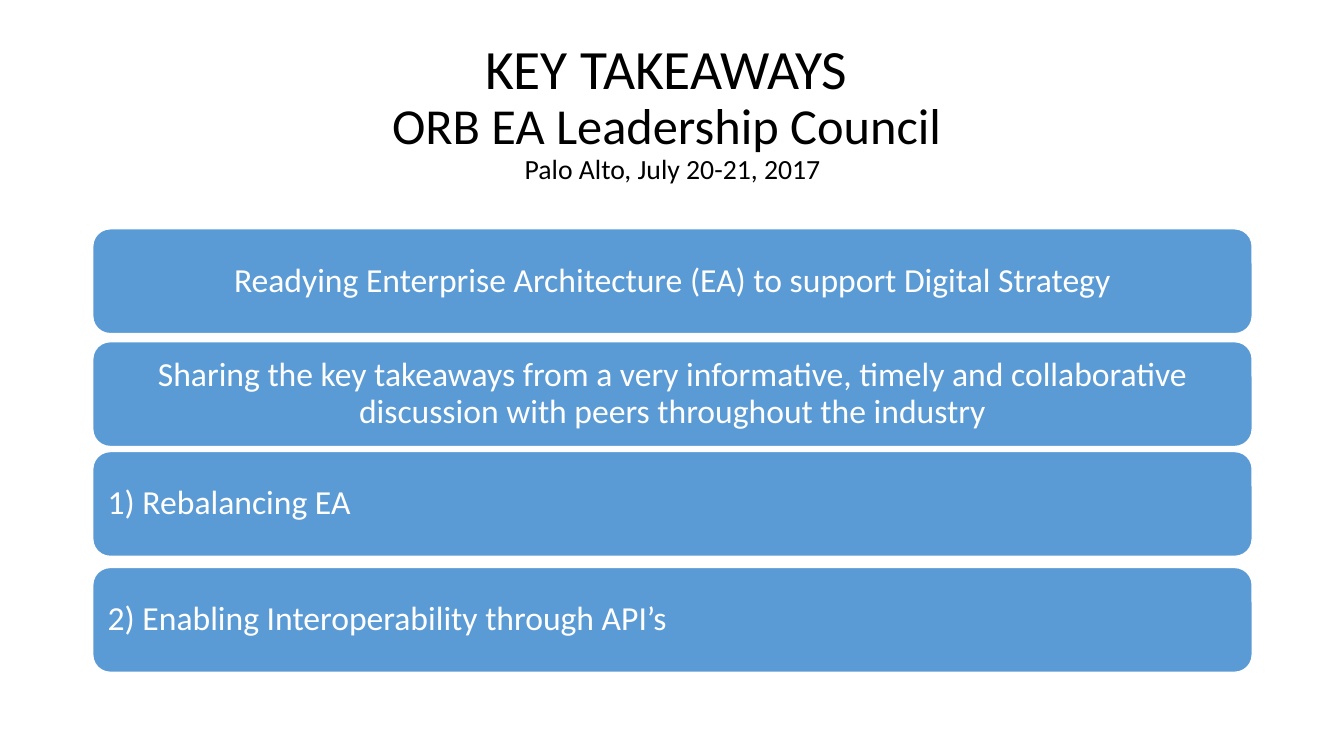
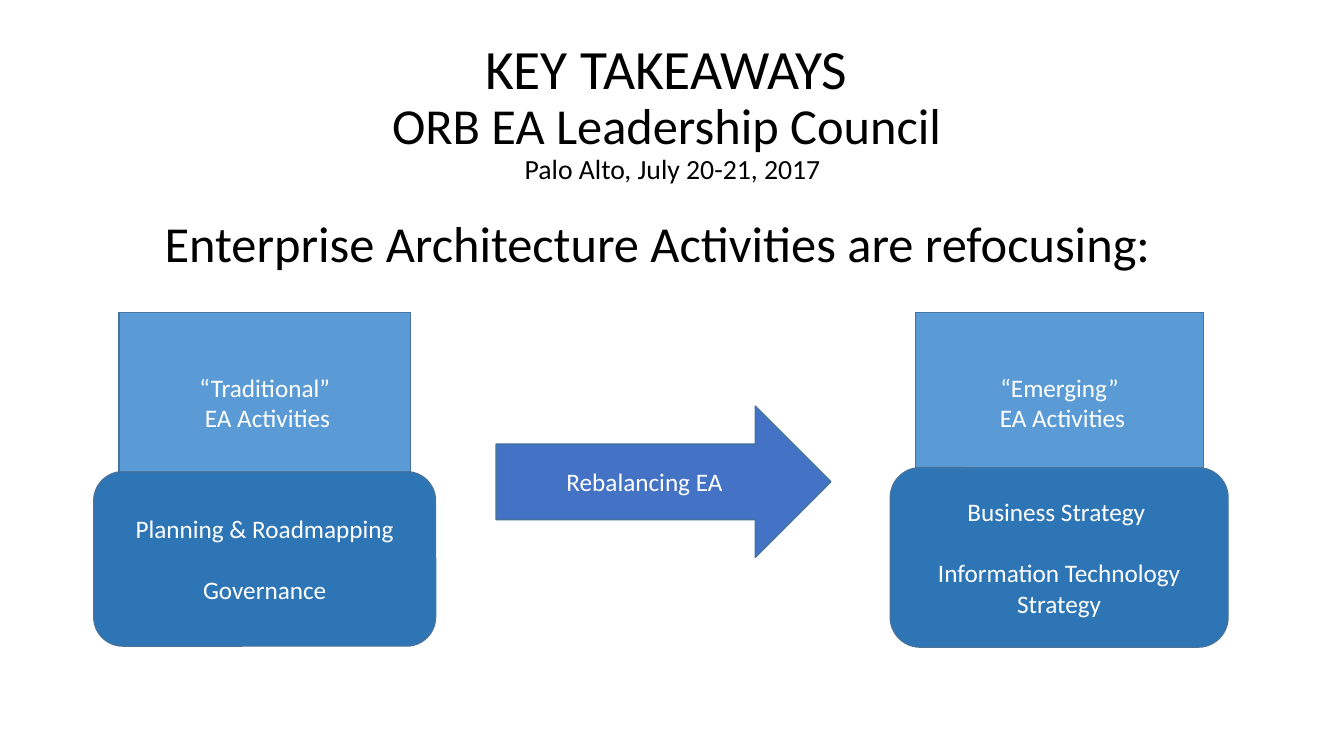
from pptx import Presentation
from pptx.dml.color import RGBColor
from pptx.enum.shapes import MSO_SHAPE
from pptx.enum.text import MSO_ANCHOR, PP_ALIGN
from pptx.util import Inches, Pt

FONT = "Calibri"
COLORS = {"ink": "000000", "white": "FFFFFF", "sky": "5B9BD5",
          "deep": "2E75B6", "royal": "4472C4", "edge": "43739E"}
TITLE = ["KEY TAKEAWAYS ", "ORB EA Leadership Council ", "Palo Alto, July 20-21, 2017"]


def write(shape, lines, sizes=(18,), color="white", align=PP_ALIGN.CENTER,
          anchor=MSO_ANCHOR.MIDDLE, inset=0.1, spacing=1.0, gap=0):
    """Fill a shape with lines; sizes repeat, gap goes above the second line."""
    frame = shape.text_frame
    frame.word_wrap = True
    frame.vertical_anchor = anchor
    frame.margin_left = frame.margin_right = Inches(inset)
    for i, line in enumerate(lines):
        para = frame.paragraphs[0] if i == 0 else frame.add_paragraph()
        para.alignment = align
        para.line_spacing = spacing
        para.space_before = Pt(gap if i == 1 else 0)
        run = para.add_run()
        run.text = line
        run.font.name = FONT
        run.font.size = Pt(sizes[i % len(sizes)])
        run.font.color.rgb = RGBColor.from_string(COLORS[color])


def block(slide, kind, box, fill, edge="edge"):
    """Add a filled, outlined shape without shadow."""
    shape = slide.shapes.add_shape(kind, *map(Inches, box))
    shape.shadow.inherit = False
    shape.fill.solid()
    shape.fill.fore_color.rgb = RGBColor.from_string(COLORS[fill])
    shape.line.color.rgb = RGBColor.from_string(COLORS[edge])
    shape.line.width = Pt(1)
    return shape


deck = Presentation()
deck.slide_width, deck.slide_height = Inches(13.33), Inches(7.5)

# Both slides carry the same title
slides = [deck.slides.add_slide(deck.slide_layouts[6]) for _ in range(2)]
for slide in slides:
    title = slide.shapes.add_textbox(Inches(0.92), Inches(0.4), Inches(11.5), Inches(1.45))
    write(title, TITLE, sizes=(39.6, 36, 19.8), color="ink", spacing=0.9)
agenda, shift = slides

# Slide 1: agenda bars
bars = [
    (2.27, PP_ALIGN.CENTER, "Readying Enterprise Architecture (EA) to support Digital Strategy"),
    (3.39, PP_ALIGN.CENTER, "Sharing the key takeaways from a very informative, timely and "
                            "collaborative discussion with peers throughout the industry"),
    (4.48, PP_ALIGN.LEFT, "1) Rebalancing EA"),
    (5.63, PP_ALIGN.LEFT, "2) Enabling Interoperability through API’s"),
]
for top, align, text in bars:
    bar = block(agenda, MSO_SHAPE.ROUNDED_RECTANGLE, (0.92, top, 11.5, 1.04), "sky", "white")
    write(bar, [text], sizes=(24,), align=align, spacing=0.9)

# Slide 2: from traditional to emerging activities
lead = shift.shapes.add_textbox(Inches(0.83), Inches(2.12), Inches(11.5), Inches(0.7))
write(lead, ["Enterprise Architecture Activities are refocusing: "], sizes=(36,),
      color="ink", anchor=MSO_ANCHOR.TOP, spacing=0.9)

arrow = block(shift, MSO_SHAPE.RIGHT_ARROW, (4.92, 4.03, 3.32, 1.5), "royal")
write(arrow, ["Rebalancing EA"])

sides = [
    ("“Traditional”", (1.18, 3.1, 2.89, 1.78), (0.93, 4.68, 3.39, 1.73),
     ["Planning & Roadmapping", "Governance"]),
    ("“Emerging”", (9.08, 3.1, 2.86, 1.78), (8.83, 4.64, 3.35, 1.78),
     ["Business Strategy ", "Information Technology", "Strategy"]),
]
for name, head, body, items in sides:
    write(block(shift, MSO_SHAPE.RECTANGLE, head, "sky"), [name, " EA Activities"])
    write(block(shift, MSO_SHAPE.ROUNDED_RECTANGLE, body, "deep"), items, gap=22)

deck.save("out.pptx")
